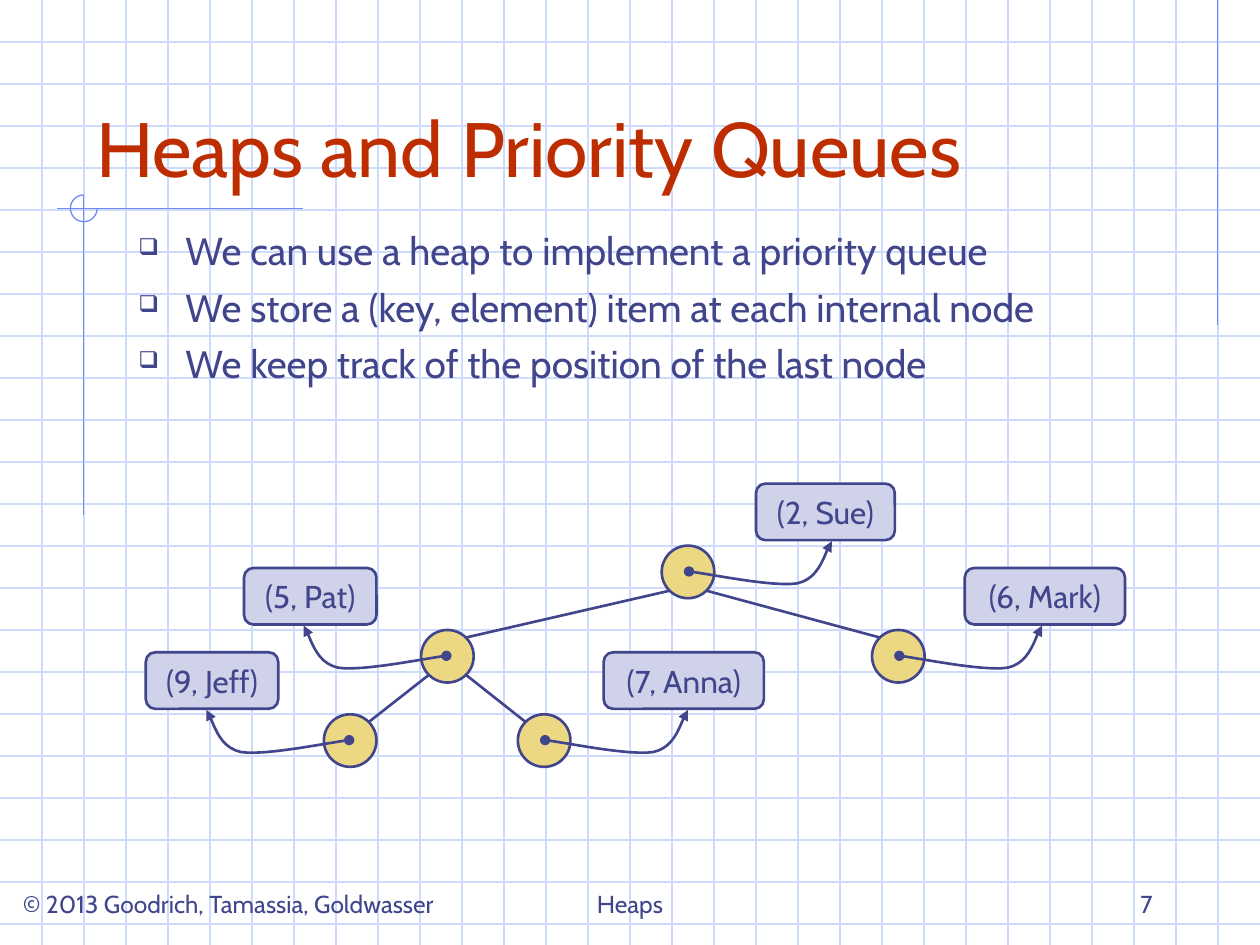
from dataclasses import dataclass

from lxml.etree import SubElement as Sub
from pptx import Presentation
from pptx.dml.color import RGBColor as Rgb
from pptx.enum.shapes import MSO_CONNECTOR as Link, MSO_SHAPE as Kind
from pptx.enum.text import MSO_ANCHOR as Anchor, PP_ALIGN as Align
from pptx.oxml.ns import qn
from pptx.util import Cm, Pt


@dataclass(frozen=True)
class Theme:
    font: str = "Cabin"
    ink: str = "40458C"
    red: str = "BE2D00"
    grid: str = "CFDBFD"
    rule: str = "6F89F7"
    gold: str = "ECD882"
    pale: str = "D0D2EA"
    title: float = 44
    body: float = 22.2
    label: float = 18
    foot: float = 14
    thin: float = 0.75
    thick: float = 1.5


T = Theme()
WIDE, HIGH = 25.4, 19.05
CELLS = 30
RADIUS = 0.53
DIAG = 0.38

NODES = {
    "root": (13.87, 11.53),
    "left": (9.02, 13.23),
    "right": (18.11, 13.23),
    "low left": (7.06, 14.93),
    "low right": (10.97, 14.93),
}
EDGES = [("root", "left"), ("root", "right"),
         ("left", "low left"), ("left", "low right")]
ITEMS = [
    ("root", "(2, Sue)", 15.24, 2.8, 1),
    ("right", "(6, Mark)", 19.45, 3.23, 1),
    ("left", "(5, Pat)", 4.92, 2.67, -1),
    ("low left", "(9, Jeff)", 2.94, 2.67, -1),
    ("low right", "(7, Anna)", 12.17, 3.23, 1),
]
CURVE = [
    [(0, 0), (0.36, 0.04), (1.7, 0.32), (2.18, 0.24)],
    [(2.18, 0.24), (2.67, 0.14), (2.74, -0.43), (2.88, -0.61)],
]
POINTS = [
    "We can use a heap to implement a priority queue",
    "We store a (key, element) item at each internal node",
    "We keep track of the position of the last node",
]


def stroke(shape, color, width):
    shape.line.color.rgb = Rgb.from_string(color)
    shape.line.width = Pt(width)


def add_line(slide, start, end, color=T.rule, width=T.thin):
    line = slide.shapes.add_connector(
        Link.STRAIGHT, *(Cm(v) for v in (*start, *end)))
    stroke(line, color, width)
    Sub(line._element.spPr, qn("a:effectLst"))


def add_shape(slide, kind, box, fill=None, color=T.ink, width=T.thick):
    shape = slide.shapes.add_shape(kind, *(Cm(v) for v in box))
    shape.shadow.inherit = False
    if fill:
        shape.fill.solid()
        shape.fill.fore_color.rgb = Rgb.from_string(fill)
    else:
        shape.fill.background()
    stroke(shape, color, width)
    return shape


def style(para, size, color=T.ink, align=Align.LEFT):
    para.alignment = align
    para.font.name = T.font
    para.font.size = Pt(size)
    para.font.color.rgb = Rgb.from_string(color)


def add_text(slide, box, text, size, color=T.ink, align=Align.LEFT):
    frame = slide.shapes.add_textbox(*(Cm(v) for v in box)).text_frame
    frame.word_wrap = True
    frame.vertical_anchor = Anchor.BOTTOM
    frame.text = text
    style(frame.paragraphs[0], size, color, align)


def add_list(slide, box, lines):
    frame = slide.shapes.add_textbox(*(Cm(v) for v in box)).text_frame
    frame.word_wrap = True
    frame.text = "\n".join(lines)
    for i, para in enumerate(frame.paragraphs):
        props = para._p.get_or_add_pPr()
        props.set("marL", str(Cm(0.95)))
        props.set("indent", str(-Cm(0.95)))
        Sub(props, qn("a:buSzPct"), val="60000")
        Sub(props, qn("a:buChar"), char="❑")
        if i:
            para.space_before = Pt(5.6)
        style(para, T.body)


def add_label(slide, box, text):
    shape = add_shape(slide, Kind.ROUNDED_RECTANGLE, box, T.pale)
    frame = shape.text_frame
    frame.word_wrap = False
    frame.vertical_anchor = Anchor.MIDDLE
    frame.text = text
    style(frame.paragraphs[0], T.label, align=Align.CENTER)


def bezier(ends, t):
    parts = ((1 - t) ** 3, 3 * t * (1 - t) ** 2, 3 * t * t * (1 - t), t ** 3)
    return tuple(sum(p * e[k] for p, e in zip(parts, ends)) for k in (0, 1))


def add_curve(slide, x, y, side, steps=12):
    dots = [(Cm(x + side * dx), Cm(y + dy))
            for ends in CURVE
            for dx, dy in (bezier(ends, i / steps) for i in range(1, steps + 1))]
    pen = slide.shapes.build_freeform(Cm(x), Cm(y))
    pen.add_line_segments(dots, close=False)
    curve = pen.convert_to_shape()
    curve.shadow.inherit = False
    curve.fill.background()
    stroke(curve, T.ink, T.thick)
    line = curve._element.spPr.find(qn("a:ln"))
    Sub(line, qn("a:headEnd"), type="oval")
    Sub(line, qn("a:tailEnd"), type="triangle")


def add_grid(slide):
    step = WIDE / CELLS
    for i in range(1, int(HIGH / step) + 1):
        add_line(slide, (0, i * step), (WIDE, i * step), T.grid)
    for i in range(1, CELLS):
        add_line(slide, (i * step, 0), (i * step, HIGH), T.grid)


def add_frame(slide):
    add_line(slide, (24.55, 0), (24.55, 6.55))
    add_line(slide, (6.1, 4.21), (1.14, 4.21))
    add_line(slide, (1.69, 3.94), (1.69, 10.39))
    arc = add_shape(slide, Kind.ARC, (1.42, 3.93, 0.54, 0.54),
                    color=T.rule, width=T.thin)
    arc.adjustments[0] = 0
    arc.adjustments[1] = 162


def add_tree(slide):
    for x, y in NODES.values():
        add_shape(slide, Kind.OVAL,
                  (x - RADIUS, y - RADIUS, 2 * RADIUS, 2 * RADIUS), T.gold)
    for top, low in EDGES:
        (x, y), (u, v) = NODES[top], NODES[low]
        dx = DIAG if u > x else -DIAG
        add_line(slide, (x + dx, y + DIAG), (u - dx, v - DIAG), T.ink, T.thick)
    for node, text, left, width, side in ITEMS:
        x, y = NODES[node]
        add_label(slide, (left, y - 1.78, width, 1.14), text)
        add_curve(slide, x + side * 0.02, y - 0.01, side)


def main():
    deck = Presentation()
    deck.slide_width, deck.slide_height = Cm(WIDE), Cm(HIGH)
    slide = deck.slides.add_slide(deck.slide_layouts[6])
    add_grid(slide)
    add_frame(slide)
    add_text(slide, (1.69, 0.85, 22.23, 3.17), "Heaps and Priority Queues",
             T.title, T.red)
    add_list(slide, (2.54, 4.45, 21.38, 4.65), POINTS)
    add_tree(slide)
    for left, width, text, align in (
        (0.21, 10.37, "© 2013 Goodrich, Tamassia, Goldwasser", Align.LEFT),
        (8.68, 8.04, "Heaps", Align.CENTER),
        (18.2, 5.29, "7", Align.RIGHT),
    ):
        add_text(slide, (left, 17.36, width, 1.27), text, T.foot, align=align)
    deck.save("out.pptx")


if __name__ == "__main__":
    main()
